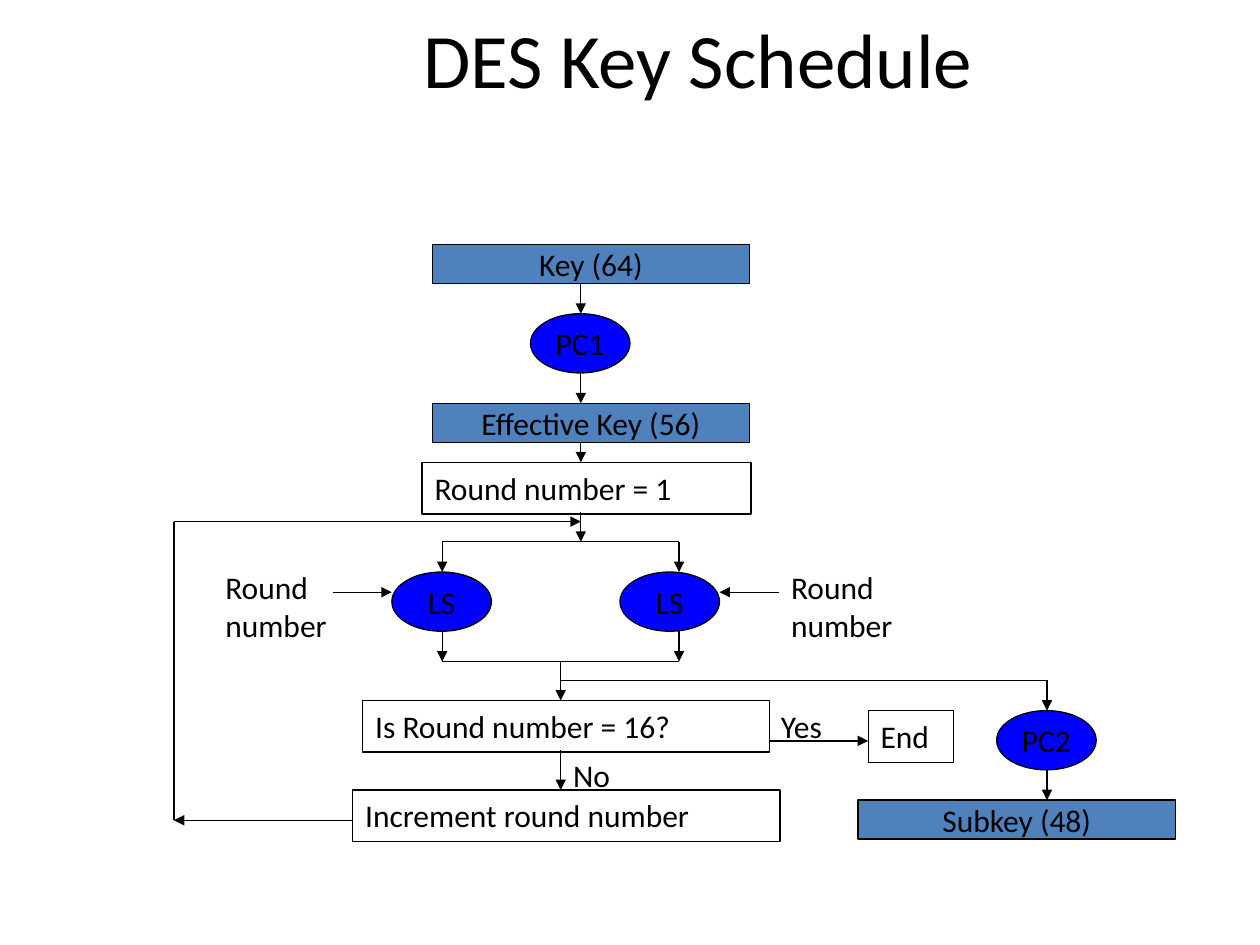
from lxml.etree import SubElement
from pptx import Presentation
from pptx.dml.color import RGBColor
from pptx.enum.shapes import MSO_CONNECTOR, MSO_SHAPE
from pptx.enum.text import MSO_ANCHOR, MSO_AUTO_SIZE, PP_ALIGN
from pptx.oxml.ns import qn
from pptx.util import Inches, Pt

BLACK = RGBColor(0x00, 0x00, 0x00)
STEEL = RGBColor(0x4F, 0x81, 0xBD)
BLUE = RGBColor(0x00, 0x00, 0xFF)
FONT = "Calibri"

BAR_W, BAR_H = 2.52, 0.31
OVAL_W, OVAL_H = 0.79, 0.47
BOX_H = 0.41

MAIN_X = 4.61       # key column
ROUND_X = 4.45      # round test column
LEFT_X, RIGHT_X = 3.51, 5.39    # the two shift branches
SUBKEY_X = 8.31
LOOP_X = 1.38


def write(p, text, size=18):
    r = p.add_run()
    r.text = text
    r.font.name = FONT
    r.font.size = Pt(size)
    r.font.color.rgb = BLACK


def add_node(s, kind, text, x, y, w, h, fill):
    """Filled, outlined shape with a centred label."""
    sp = s.shapes.add_shape(kind, Inches(x), Inches(y), Inches(w), Inches(h))
    sp.shadow.inherit = False
    sp.fill.solid()
    sp.fill.fore_color.rgb = fill
    sp.line.color.rgb = BLACK
    sp.line.width = Pt(0.75)
    tf = sp.text_frame
    tf.word_wrap = False
    tf.vertical_anchor = MSO_ANCHOR.MIDDLE
    p = tf.paragraphs[0]
    p.alignment = PP_ALIGN.CENTER
    write(p, text)


def add_bar(s, text, x, y):
    add_node(s, MSO_SHAPE.RECTANGLE, text, x, y, BAR_W, BAR_H, STEEL)


def add_oval(s, text, x, y):
    add_node(s, MSO_SHAPE.OVAL, text, x, y, OVAL_W, OVAL_H, BLUE)


def add_label(s, lines, x, y, w, h, outlined=False):
    box = s.shapes.add_textbox(Inches(x), Inches(y), Inches(w), Inches(h))
    if outlined:
        box.line.color.rgb = BLACK
        box.line.width = Pt(0.75)
    tf = box.text_frame
    tf.word_wrap = False
    tf.auto_size = MSO_AUTO_SIZE.SHAPE_TO_FIT_TEXT
    for i, line in enumerate(lines):
        p = tf.add_paragraph() if i else tf.paragraphs[0]
        write(p, line)


def add_line(s, x1, y1, x2, y2, arrow=False):
    c = s.shapes.add_connector(MSO_CONNECTOR.STRAIGHT, Inches(x1), Inches(y1),
                               Inches(x2), Inches(y2))
    c.line.color.rgb = BLACK
    c.line.width = Pt(0.75)
    if arrow:
        SubElement(c.line._get_or_add_ln(), qn("a:tailEnd"), type="triangle")
    SubElement(c._element.spPr, qn("a:effectLst"))


def add_title(s, text):
    title = s.shapes.title
    title.left, title.top = Inches(1.08), Inches(0)
    title.width, title.height = Inches(8.92), Inches(0.91)
    tf = title.text_frame
    tf.vertical_anchor = MSO_ANCHOR.MIDDLE
    p = tf.paragraphs[0]
    p.alignment = PP_ALIGN.CENTER
    write(p, text, 44)


def main():
    prs = Presentation()
    prs.slide_width, prs.slide_height = Inches(10), Inches(7.5)
    s = prs.slides.add_slide(prs.slide_layouts[5])
    add_title(s, "DES Key Schedule")

    for text, x, y in (("Key (64)", 3.43, 1.94),
                       ("Effective Key (56)", 3.43, 3.2),
                       ("Subkey (48)", 6.81, 6.35)):
        add_bar(s, text, x, y)

    for text, x, y in (("PC1", 4.21, 2.49), ("LS", 3.11, 4.54),
                       ("LS", 4.92, 4.54), ("PC2", 7.91, 5.64)):
        add_oval(s, text, x, y)

    for text, x, y, w in (("Round number = 1", 3.35, 3.67, 2.61),
                          ("Is Round number = 16?", 2.88, 5.56, 3.23),
                          ("Increment round number", 2.8, 6.27, 3.39),
                          ("End", 6.89, 5.64, 0.68)):
        add_label(s, [text], x, y, w, BOX_H, outlined=True)

    for x in (1.69, 6.18):
        add_label(s, ["Round", "number"], x, 4.46, 1.17, 0.7)
    add_label(s, ["Yes"], 6.1, 5.56, 0.64, 0.4)
    add_label(s, ["No"], ROUND_X, 5.95, 0.54, 0.4)

    down_arrows = (
        (MAIN_X, ((2.25, 2.49), (2.96, 3.2), (3.51, 3.67), (4.06, 4.3))),
        (LEFT_X, ((4.3, 4.54), (5.01, 5.25))),
        (RIGHT_X, ((4.3, 4.54), (5.01, 5.25))),
        (ROUND_X, ((5.25, 5.56), (5.95, 6.27))),
        (SUBKEY_X, ((5.4, 5.64), (6.11, 6.35))),
    )
    for x, spans in down_arrows:
        for top, bottom in spans:
            add_line(s, x, top, x, bottom, arrow=True)

    for x1, x2, y in ((2.64, 3.11, 4.7), (6.18, 5.71, 4.7),
                      (6.1, 6.89, 5.88), (LOOP_X, MAIN_X, 4.14),
                      (2.8, LOOP_X, 6.51)):
        add_line(s, x1, y, x2, y, arrow=True)

    for y in (4.3, 5.25):
        add_line(s, LEFT_X, y, RIGHT_X, y)
    add_line(s, ROUND_X, 5.4, SUBKEY_X, 5.4)
    add_line(s, LOOP_X, 6.51, LOOP_X, 4.14)

    prs.save("out.pptx")


if __name__ == "__main__":
    main()
